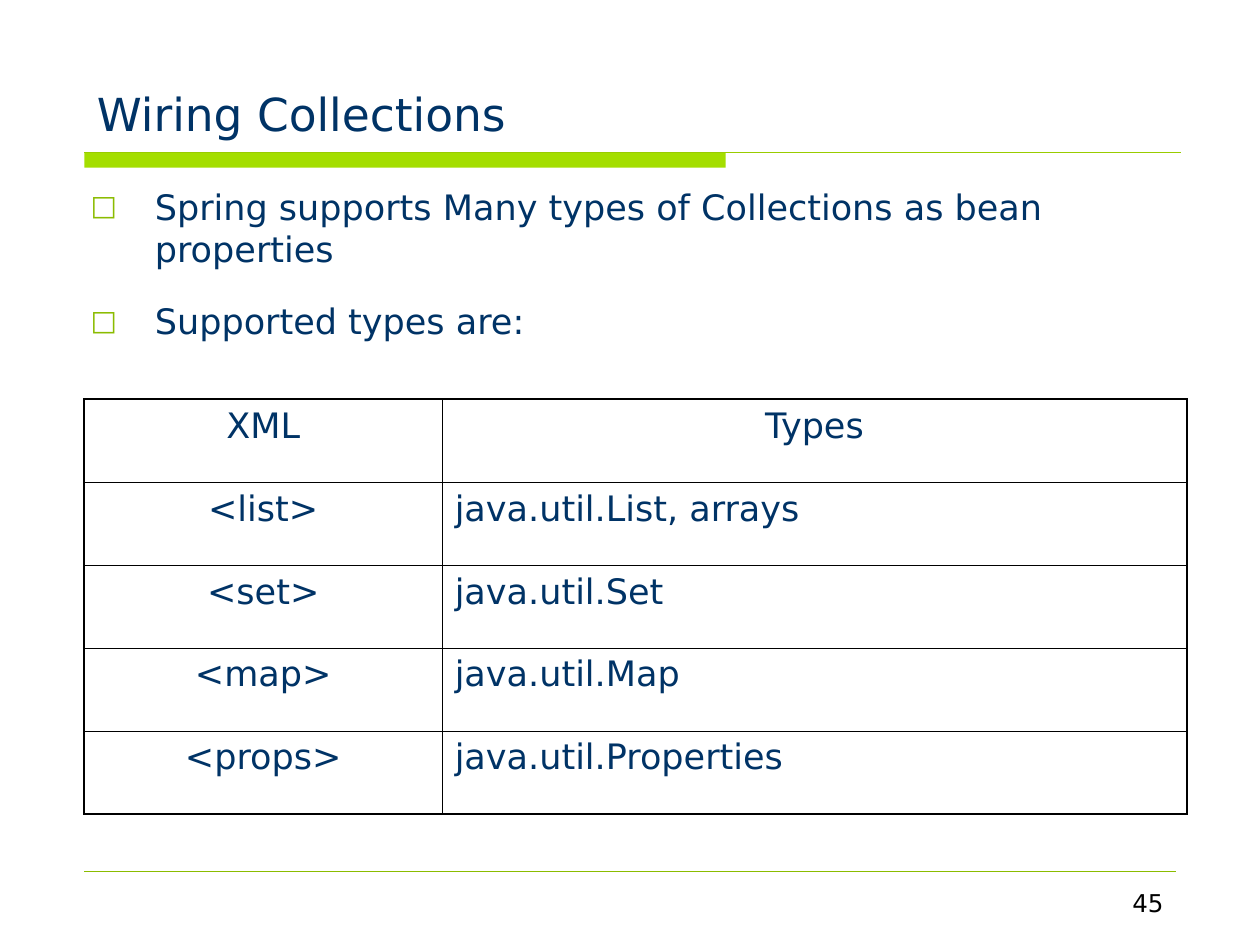
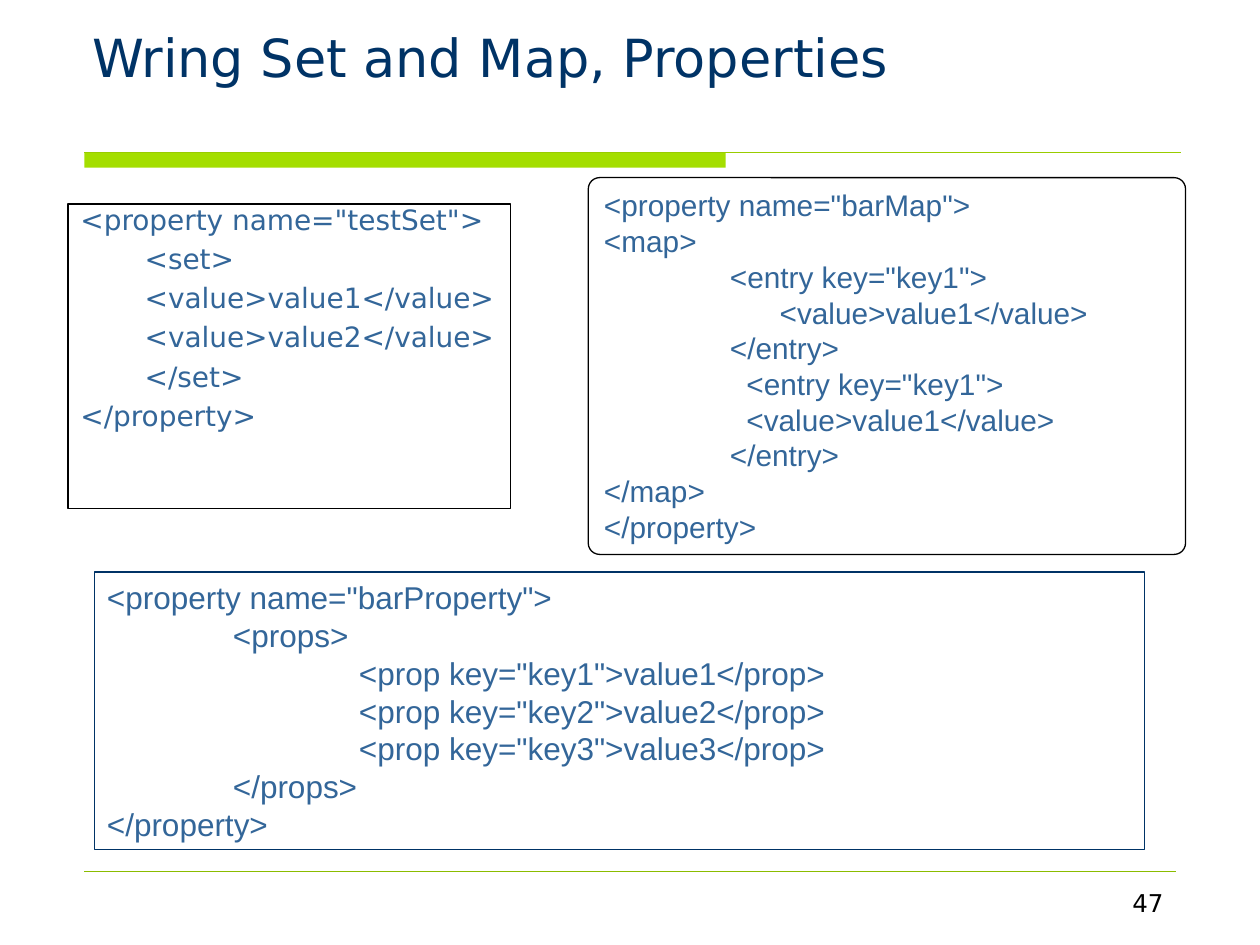
import pptx
import pptx.util
import pptx.dml.color
import pptx.enum.shapes
import pptx.enum.text
import pptx.oxml
import pptx.oxml.ns
from lxml import etree

Pt = pptx.util.Pt
ALIGN = pptx.enum.text.PP_ALIGN
ANCHOR = pptx.enum.text.MSO_ANCHOR
SHAPE = pptx.enum.shapes.MSO_SHAPE

SANS, ARIAL = "DejaVu Sans", "Arial"
NAVY, BLUE, BLACK, WHITE = "003366", "336699", "000000", "FFFFFF"
LIME, GREEN, OLIVE = "A4DE00", "99CC00", "8BBC00"
LEFT = 48.2
HALF_INCH = 36.7
INCH = 72

TYPES = [
    ("XML", "Types"),
    ("<list>", "java.util.List, arrays"),
    ("<set>", "java.util.Set"),
    ("<map>", "java.util.Map"),
    ("<props>", "java.util.Properties"),
]
SET_CODE = [
    (0, '<property name="testSet">'),
    (HALF_INCH, "<set>"),
    (HALF_INCH, "<value>value1</value>"),
    (HALF_INCH, "<value>value2</value>"),
    (HALF_INCH, "</set>"),
    (0, "</property>"),
]
MAP_CODE = [
    (0, '<property name="barMap">'),
    (0, "<map>"),
    (INCH, '<entry key="key1">'),
    (INCH + 28.4, "<value>value1</value>"),
    (INCH, "</entry>"),
    (INCH + 9.4, '<entry key="key1">'),
    (INCH + 9.4, "<value>value1</value>"),
    (INCH, "</entry>"),
    (0, "</map>"),
    (0, "</property>"),
]
PROPS_CODE = [
    (0, '<property name="barProperty">'),
    (INCH, "<props>"),
    *[(2 * INCH, f'<prop key="key{n}">value{n}</prop>') for n in (1, 2, 3)],
    (INCH, "</props>"),
    (0, "</property>"),
]


def rgb(color):
    return pptx.dml.color.RGBColor.from_string(color)


def sub(parent, tag, **attrs):
    return etree.SubElement(parent, pptx.oxml.ns.qn(tag), attrs)


def place(sp, x, y, w, h):
    sp.left, sp.top, sp.width, sp.height = Pt(x), Pt(y), Pt(w), Pt(h)


def frame(sp, anchor=ANCHOR.TOP):
    tf = sp.text_frame
    tf.word_wrap = True
    tf.auto_size = pptx.enum.text.MSO_AUTO_SIZE.NONE
    tf.vertical_anchor = anchor
    tf.margin_left = tf.margin_right = Pt(7.2)
    tf.margin_top = tf.margin_bottom = Pt(3.6)
    return tf


def write(p, text, size, color, font=SANS, align=ALIGN.LEFT, before=0, after=0):
    p.alignment = align
    p.space_before, p.space_after = Pt(before), Pt(after)
    r = p.add_run()
    r.text = text
    r.font.name, r.font.size = font, Pt(size)
    r.font.color.rgb = rgb(color)


def paragraphs(tf, items):
    for i, item in enumerate(items):
        yield (tf.add_paragraph() if i else tf.paragraphs[0]), item


def indent(p, left, first=0):
    pPr = p._p.get_or_add_pPr()
    pPr.set("marL", str(Pt(left)))
    pPr.set("indent", str(Pt(first)))
    return pPr


def add_box(s, kind, x, y, w, h, fill, line=None):
    sp = s.shapes.add_shape(kind, Pt(x), Pt(y), Pt(w), Pt(h))
    sp.shadow.inherit = False
    sp.fill.solid()
    sp.fill.fore_color.rgb = rgb(fill)
    if line:
        sp.line.color.rgb = rgb(line)
        sp.line.width = Pt(0.74)
    else:
        sp.line.fill.background()
    return sp


def add_rule(s, x1, x2, y, color, width):
    c = s.shapes.add_connector(
        pptx.enum.shapes.MSO_CONNECTOR.STRAIGHT, Pt(x1), Pt(y), Pt(x2), Pt(y))
    c.line.color.rgb = rgb(color)
    c.line.width = Pt(width)
    sub(c._element.spPr, "a:effectLst")


def add_slide(prs, layout, number, title, size, area):
    s = prs.slides.add_slide(prs.slide_layouts[layout])
    add_box(s, SHAPE.RECTANGLE, LEFT, 87.2, 366.5, 8.6, LIME)
    add_rule(s, LEFT, 674.6, 87.2, GREEN, 0.74)
    add_rule(s, LEFT, 672, 498, OLIVE, 0.26)
    sp = s.shapes.add_textbox(Pt(516), Pt(504), Pt(156), Pt(24.5))
    write(frame(sp).paragraphs[0], number, 14, BLACK, align=ALIGN.RIGHT)
    place(s.shapes.title, *area)
    tf = frame(s.shapes.title, ANCHOR.BOTTOM)
    write(tf.paragraphs[0], title, size, NAVY)
    return s


def add_bullets(s, texts, *area):
    sp = s.placeholders[1]
    place(sp, *area)
    for p, text in paragraphs(frame(sp), texts):
        write(p, text, 20, NAVY, before=5, after=12.5)
        pPr = indent(p, HALF_INCH, -HALF_INCH)
        sub(sub(pPr, "a:buClr"), "a:srgbClr", val=OLIVE)
        sub(pPr, "a:buSzPct", val="80000")
        sub(pPr, "a:buFont", typeface=SANS)
        sub(pPr, "a:buChar", char="□")


def set_borders(cell, outer):
    tcPr = cell._tc.get_or_add_tcPr()
    for i, side in enumerate("LRTB"):
        width = 1.08 if side in outer else 0.45
        ln = sub(tcPr, f"a:ln{side}", w=str(Pt(width)))
        sub(sub(ln, "a:solidFill"), "a:srgbClr", val=BLACK)
        tcPr.insert(i, ln)


def add_grid(s, rows, widths, x, y, row_height):
    table = s.shapes.add_table(len(rows), len(widths), Pt(x), Pt(y),
                               Pt(sum(widths)), Pt(row_height * len(rows))).table
    table.first_row = table.horz_banding = False
    for column, width in zip(table.columns, widths):
        column.width = Pt(width)
    last_row, last_col = len(rows) - 1, len(widths) - 1
    for i, row in enumerate(rows):
        table.rows[i].height = Pt(row_height)
        for j, text in enumerate(row):
            cell = table.cell(i, j)
            cell.fill.background()
            edges = {"T": i == 0, "B": i == last_row, "L": j == 0, "R": j == last_col}
            set_borders(cell, [side for side, on in edges.items() if on])
            align = ALIGN.LEFT if i and j else ALIGN.CENTER
            write(cell.text_frame.paragraphs[0], text, 20, NAVY,
                  align=align, before=5, after=12.5)


def add_code(s, kind, area, lines, size, font, line=BLACK, gap=0, spacing=1.0):
    sp = add_box(s, kind, *area, WHITE, line)
    for p, (left, text) in paragraphs(frame(sp), lines):
        write(p, text, size, BLUE, font, before=gap, after=gap)
        p.line_spacing = spacing
        indent(p, left)
    return sp


def main():
    prs = pptx.Presentation()
    prs.slide_width, prs.slide_height = Pt(720), Pt(540)

    s = add_slide(prs, 1, "45", "Wiring Collections", 26, (LEFT, 12.2, 630, 72))
    add_bullets(s, ["Spring supports Many types of Collections as bean properties",
                    "Supported types are:"], 44.6, 102.2, 630, 186.5)
    add_grid(s, TYPES, (204.5, 425.5), LEFT, 228.2, 47.4)

    s = add_slide(prs, 5, "47", "Wring Set and Map, Properties", 30,
                  (45.4, 23.8, 663, 30.2))
    add_code(s, SHAPE.RECTANGLE, (38.9, 116.6, 252.7, 174.2), SET_CODE, 16, SANS,
             gap=4, spacing=0.75)
    sp = add_code(s, SHAPE.ROUNDED_RECTANGLE, (336.2, 101.5, 341.3, 215.3),
                  MAP_CODE, 17, ARIAL)
    sp.adjustments[0] = 0.03
    add_code(s, SHAPE.RECTANGLE, (54, 326.9, 600, 158.4), PROPS_CODE, 18, ARIAL,
             line=NAVY)

    prs.save("out.pptx")


main()
